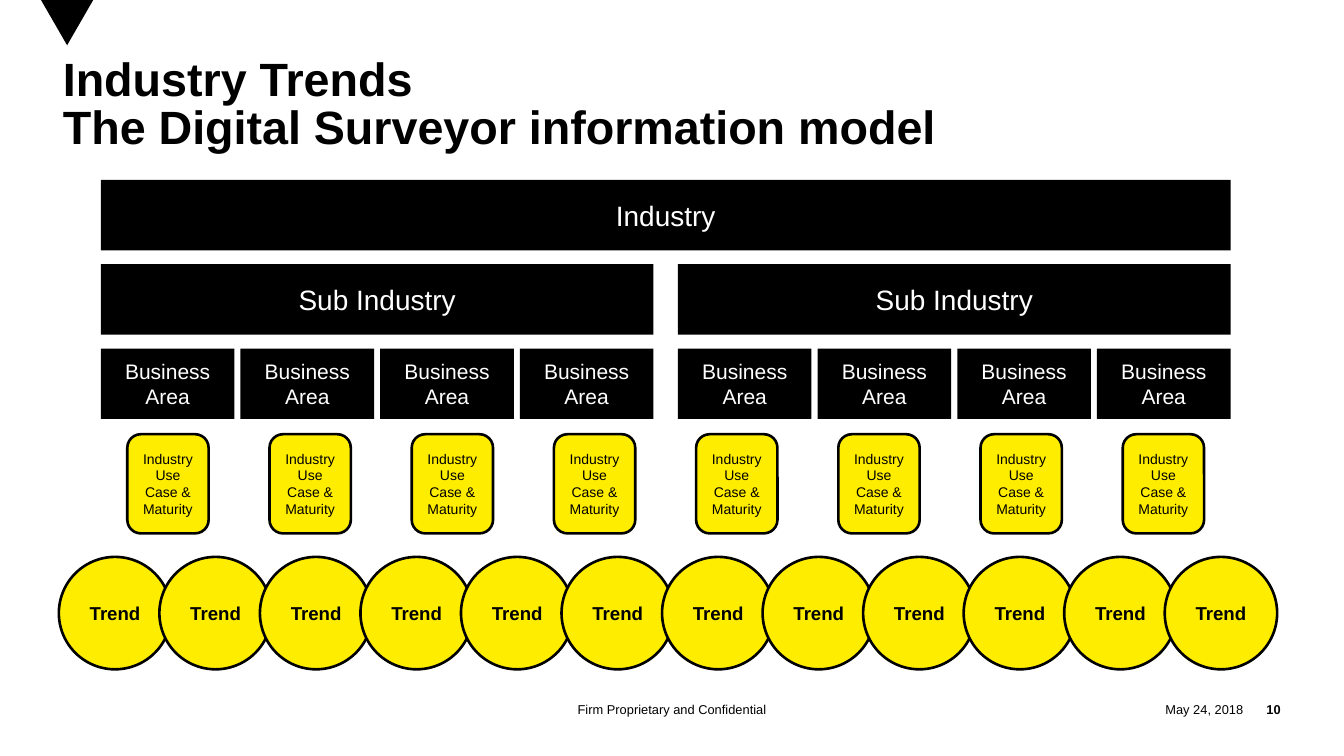
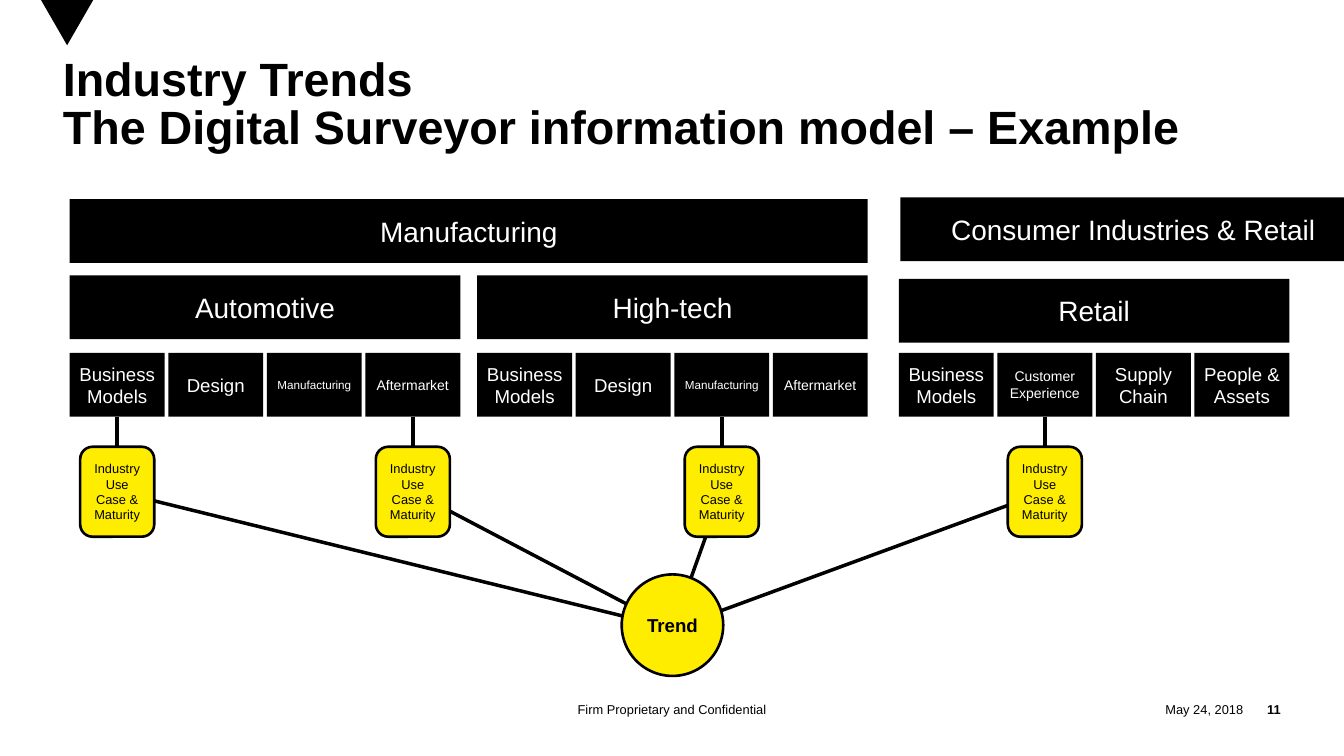
from dataclasses import dataclass

from lxml.etree import SubElement
from pptx import Presentation
from pptx.dml.color import RGBColor
from pptx.enum.shapes import MSO_CONNECTOR, MSO_SHAPE
from pptx.enum.text import MSO_ANCHOR as Anchor, MSO_AUTO_SIZE, PP_ALIGN as Align
from pptx.oxml.ns import qn
from pptx.util import Cm, Pt


@dataclass(frozen=True)
class Theme:
    font: str = "Arial"
    black: RGBColor = RGBColor(0x00, 0x00, 0x00)
    white: RGBColor = RGBColor(0xFF, 0xFF, 0xFF)
    yellow: RGBColor = RGBColor(0xFF, 0xED, 0x00)
    title: int = 40
    industry: int = 24
    area: int = 18
    trend: int = 16
    use_case: int = 12
    footer: int = 11
    outline: float = 2.25
    link: int = 3


theme = Theme()
USE_CASE = "Industry Use Case & Maturity"


def write(shape, text, size, color=theme.black, bold=False, align=Align.CENTER,
          anchor=Anchor.MIDDLE, inset=True, spacing=None):
    """Fill a shape with one paragraph; a newline becomes a line break."""
    frame = shape.text_frame
    frame.word_wrap = True
    frame.auto_size = MSO_AUTO_SIZE.NONE
    frame.vertical_anchor = anchor
    if not inset:
        frame.margin_left = frame.margin_right = frame.margin_top = frame.margin_bottom = 0
    paragraph = frame.paragraphs[0]
    paragraph.text = text
    paragraph.alignment = align
    if spacing:
        paragraph.line_spacing = spacing
    for line_break in paragraph._p.findall(qn("a:br")):
        SubElement(line_break, qn("a:rPr"), sz=str(size * 100))
    for run in paragraph.runs:
        run.font.name = theme.font
        run.font.size = Pt(size)
        run.font.bold = bold
        run.font.color.rgb = color


def add_block(slide, kind, left, top, width, height, text="", size=theme.industry, bold=False):
    """Add a black bar, or a yellow outlined node for any rounded kind."""
    block = slide.shapes.add_shape(kind, Cm(left), Cm(top), Cm(width), Cm(height))
    block.shadow.inherit = False
    block.fill.solid()
    if kind in (MSO_SHAPE.OVAL, MSO_SHAPE.ROUNDED_RECTANGLE):
        block.fill.fore_color.rgb = theme.yellow
        block.line.color.rgb = theme.black
        block.line.width = Pt(theme.outline)
        color = theme.black
    else:
        block.fill.fore_color.rgb = theme.black
        block.line.fill.background()
        color = theme.white
    if text:
        write(block, text, size, color, bold)


deck = Presentation()
deck.slide_width, deck.slide_height = Cm(40.64), Cm(22.86)

# Title, corner mark and footer shared by both slides
slides = []
for number, heading in (
    (10, "The Digital Surveyor information model"),
    (11, "The Digital Surveyor information model – Example"),
):
    slide = deck.slides.add_slide(deck.slide_layouts[5])
    title = slide.shapes.title
    title.left, title.top, title.width, title.height = Cm(1.9), Cm(1.78), Cm(36.83), Cm(3.94)
    write(title, f"Industry Trends\n{heading}", theme.title, bold=True, align=Align.LEFT,
          anchor=Anchor.TOP, inset=False, spacing=0.85)
    add_block(slide, MSO_SHAPE.FLOWCHART_MERGE, 1.24, 0, 1.58, 1.37)
    for left, width, text, align, bold in (
        (13.34, 13.97, "Firm Proprietary and Confidential", Align.CENTER, False),
        (33.05, 4.55, "May 24, 2018", Align.RIGHT, False),
        (37.59, 1.14, str(number), Align.RIGHT, True),
    ):
        footer = slide.shapes.add_textbox(Cm(left), Cm(21.06), Cm(width), Cm(0.76))
        write(footer, text, theme.footer, bold=bold, align=align, inset=False)
    slides.append(slide)
model, example = slides

# Information model
model_left, model_width, bar_height = 3.05, 34.16, 2.13
industry_top, row_pitch = 5.44, 2.55
sub_width, area_width = 16.71, 4.04
area_pitch = (sub_width - area_width) / 3

add_block(model, MSO_SHAPE.RECTANGLE, model_left, industry_top, model_width, bar_height, "Industry")
for sub_left in (model_left, model_left + model_width - sub_width):
    add_block(model, MSO_SHAPE.RECTANGLE, sub_left, industry_top + row_pitch,
              sub_width, bar_height, "Sub Industry")
    for column in range(4):
        add_block(model, MSO_SHAPE.RECTANGLE, sub_left + column * area_pitch,
                  industry_top + 2 * row_pitch, area_width, bar_height,
                  "Business Area", theme.area)
for column in range(12):
    add_block(model, MSO_SHAPE.OVAL, 1.78 + column * 3.04, 16.84, 3.4, 3.4,
              "Trend", theme.trend, bold=True)
for column in range(8):
    add_block(model, MSO_SHAPE.ROUNDED_RECTANGLE, 3.85 + column * 4.3, 13.13, 2.46, 3,
              USE_CASE, theme.use_case)

# Example
bar_height, sub_width, area_width = 1.93, 11.81, 2.87
area_top, case_top = 10.67, 13.51
case_width, case_height = 2.24, 2.72
area_pitch = (sub_width - area_width) / 3
trend_left, trend_top, trend_size = 18.8, 17.37, 3.07
trend_hub = (20.35, 19)

add_block(example, MSO_SHAPE.RECTANGLE, 2.11, 6.02, 24.13, bar_height, "Manufacturing")
add_block(example, MSO_SHAPE.RECTANGLE, 27.23, 5.97, 14.07, bar_height,
          "Consumer Industries & Retail")

manufacturing_areas = (("Business\nModels", 16), ("Design", 16),
                       ("Manufacturing", 10), ("Aftermarket", 12))
retail_areas = (("Business\nModels", 16), ("Customer Experience", 12),
                ("Supply Chain", 16), ("People & Assets", 16))
sub_industries = (
    ("Automotive", 2.11, 8.33, manufacturing_areas, (0, 3)),
    ("High-tech", 14.43, 8.33, manufacturing_areas, (2,)),
    ("Retail", 27.18, 8.43, retail_areas, (1,)),
)
for sub_name, sub_left, sub_top, areas, columns_with_case in sub_industries:
    add_block(example, MSO_SHAPE.RECTANGLE, sub_left, sub_top, sub_width, bar_height, sub_name)
    for column, (area, size) in enumerate(areas):
        area_left = sub_left + column * area_pitch
        add_block(example, MSO_SHAPE.RECTANGLE, area_left, area_top,
                  area_width, bar_height, area, size)
        if column not in columns_with_case:
            continue
        center = area_left + area_width / 2
        for start, end in (
            ((center, area_top + bar_height), (center, case_top)),
            ((center, case_top + case_height / 2), trend_hub),
        ):
            link = example.shapes.add_connector(
                MSO_CONNECTOR.STRAIGHT, *(Cm(value) for value in start + end))
            link.line.color.rgb = theme.black
            link.line.width = Pt(theme.link)
            SubElement(link._element.spPr, qn("a:effectLst"))
        add_block(example, MSO_SHAPE.ROUNDED_RECTANGLE, center - case_width / 2, case_top,
                  case_width, case_height, USE_CASE, theme.footer)
add_block(example, MSO_SHAPE.OVAL, trend_left, trend_top, trend_size, trend_size,
          "Trend", theme.trend, bold=True)

deck.save("out.pptx")
